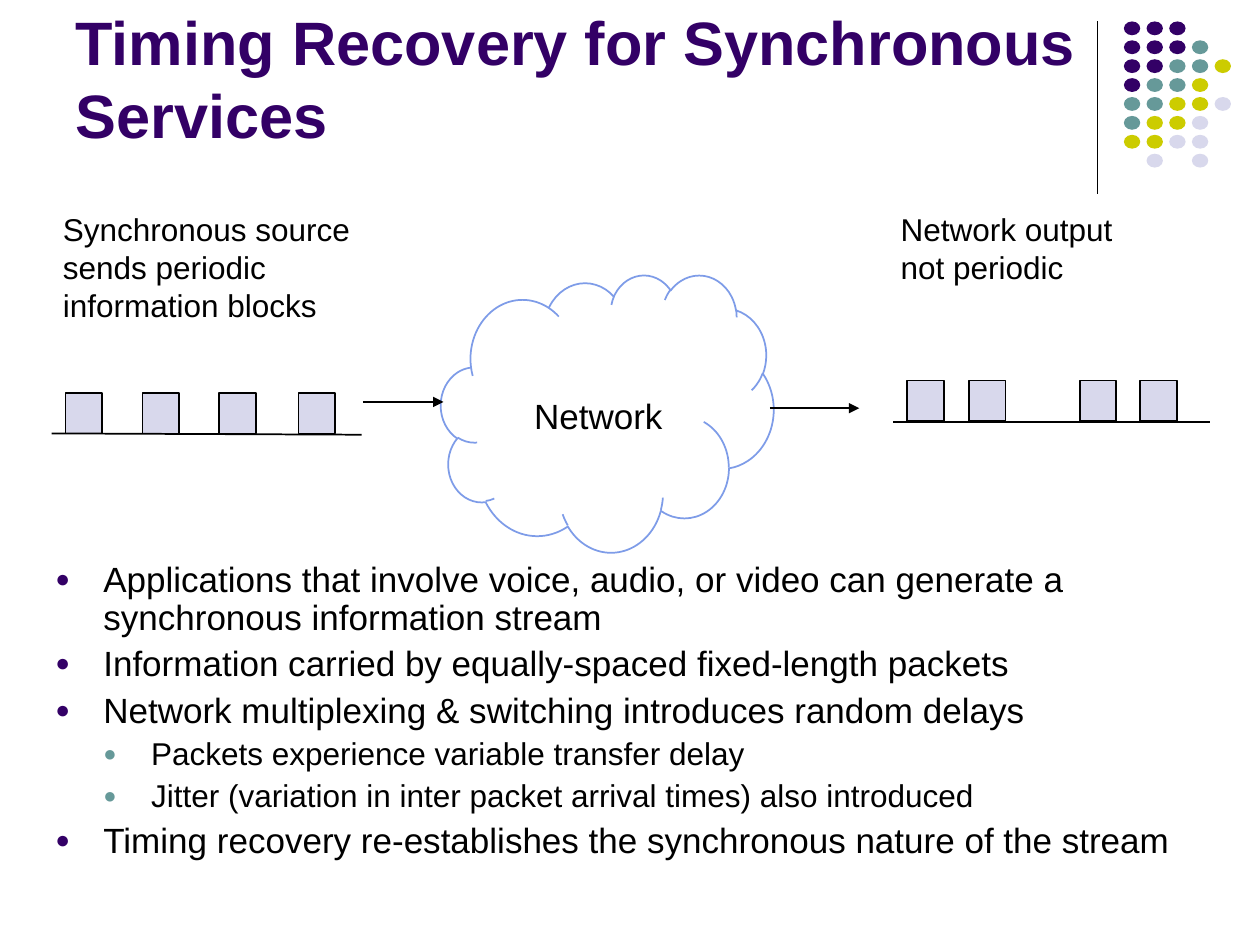
"""Build the slide on timing recovery for synchronous services."""
import lxml.etree
import pptx
import pptx.dml.color
import pptx.enum.shapes
import pptx.enum.text
import pptx.oxml.ns
import pptx.util

Inches = pptx.util.Inches
Pt = pptx.util.Pt
SHAPES = pptx.enum.shapes.MSO_SHAPE
COLORS = {
    "purple": "330066",
    "teal": "669999",
    "olive": "CCCC00",
    "lavender": "D8D8EC",
    "cloud": "7E9CE8",
    "white": "FFFFFF",
    "black": "000000",
}


def color(name):
    return pptx.dml.color.RGBColor.from_string(COLORS[name])


def write(paragraph, text, size, ink="black", bold=False):
    run = paragraph.add_run()
    run.text = text
    run.font.name = "Arial"
    run.font.size = Pt(size)
    run.font.bold = bold
    run.font.color.rgb = color(ink)


deck = pptx.Presentation()
deck.slide_width = Inches(10)
deck.slide_height = Inches(7.5)
slide = deck.slides.add_slide(deck.slide_layouts[1])

title = slide.shapes.title
title.left, title.top = Inches(0.5), Inches(0.13)
title.width, title.height = Inches(8.25), Inches(1.12)
title.text_frame.auto_size = pptx.enum.text.MSO_AUTO_SIZE.NONE
title.text_frame.vertical_anchor = pptx.enum.text.MSO_ANCHOR.BOTTOM
heading = title.text_frame.paragraphs[0]
heading.alignment = pptx.enum.text.PP_ALIGN.LEFT
write(heading, "Timing Recovery for Synchronous Services", 35, "purple", True)

dot_colors = {"P": "purple", "T": "teal", "Y": "olive", "L": "lavender"}
dot_rows = ["PPP", "PPPT", "PPTTY", "PTTY", "TTYYL", "TYYL", "YYLL", " L L"]
outlined = [(SHAPES.CLOUD, 3.5, 2.18, 2.64, 2.2, "white", "cloud")]
for block_top, block_lefts in [(3.12, (0.52, 1.13, 1.74, 2.37)),
                               (3.02, (7.2, 7.69, 8.57, 9.05))]:
    for block_left in block_lefts:
        outlined.append((SHAPES.RECTANGLE, block_left, block_top, 0.29, 0.32,
                         "lavender", "black"))
dots = [
    (SHAPES.OVAL, 8.92 + 0.18 * column, 0.17 + 0.15 * row, 0.13, 0.11,
     dot_colors[letter], None)
    for row, letters in enumerate(dot_rows)
    for column, letter in enumerate(letters) if letter != " "
]
for kind, left, top, width, height, fill, outline in dots + outlined:
    figure = slide.shapes.add_shape(
        kind, Inches(left), Inches(top), Inches(width), Inches(height))
    figure.shadow.inherit = False
    figure.fill.solid()
    figure.fill.fore_color.rgb = color(fill)
    if outline:
        figure.line.color.rgb = color(outline)
        figure.line.width = Pt(1)
    else:
        figure.line.fill.background()

for x1, y1, x2, y2, weight, arrow in [
    (8.71, 0.17, 8.71, 1.54, 0.75, False),
    (0.41, 3.44, 2.87, 3.45, 1, False),
    (7.09, 3.35, 9.6, 3.35, 1, False),
    (2.88, 3.19, 3.52, 3.19, 1, True),
    (6.11, 3.24, 6.82, 3.24, 1, True),
]:
    rule = slide.shapes.add_connector(
        pptx.enum.shapes.MSO_CONNECTOR.STRAIGHT,
        Inches(x1), Inches(y1), Inches(x2), Inches(y2))
    rule.line.color.rgb = color("black")
    rule.line.width = Pt(weight)
    if arrow:
        lxml.etree.SubElement(rule.line._get_or_add_ln(),
                              pptx.oxml.ns.qn("a:tailEnd"), type="triangle")
    lxml.etree.SubElement(rule._element.spPr, pptx.oxml.ns.qn("a:effectLst"))

for left, top, width, height, text, size in [
    (4.14, 3.08, 1.45, 0.43, "Network", 20),
    (0.4, 1.62, 2.72, 1,
     "Synchronous source sends periodic information blocks", 18),
    (7.05, 1.62, 2.2, 0.7, "Network output not periodic", 18),
]:
    label = slide.shapes.add_textbox(
        Inches(left), Inches(top), Inches(width), Inches(height))
    label.text_frame.word_wrap = True
    write(label.text_frame.paragraphs[0], text, size)

body = slide.placeholders[1]
body.left, body.top = Inches(0.34), Inches(4.41)
body.width, body.height = Inches(9.44), Inches(2.65)
body.text_frame.auto_size = pptx.enum.text.MSO_AUTO_SIZE.NONE
levels = [(20, 5, "purple"), (18, 4.5, "teal")]
points = [
    (0, "Applications that involve voice, audio, or video can generate a "
        "synchronous information stream"),
    (0, "Information carried by equally-spaced fixed-length packets"),
    (0, "Network multiplexing & switching introduces random delays"),
    (1, "Packets experience variable transfer delay"),
    (1, "Jitter (variation in inter packet arrival times) also introduced"),
    (0, "Timing recovery re-establishes the synchronous nature of the stream"),
]
for index, (level, text) in enumerate(points):
    size, gap, bullet_color = levels[level]
    point = (body.text_frame.add_paragraph() if index
             else body.text_frame.paragraphs[0])
    point.level = level
    props = point._p.get_or_add_pPr()
    props.set("marL", str(Inches(0.38 * (level + 1))))
    props.set("indent", str(Inches(-0.38)))
    bullet = lxml.etree.SubElement(props, pptx.oxml.ns.qn("a:buClr"))
    lxml.etree.SubElement(bullet, pptx.oxml.ns.qn("a:srgbClr"),
                          val=COLORS[bullet_color])
    for tag, key, value in [("a:buSzPct", "val", "70000"),
                            ("a:buFont", "typeface", "Arial"),
                            ("a:buChar", "char", "●")]:
        lxml.etree.SubElement(props, pptx.oxml.ns.qn(tag)).set(key, value)
    point.line_spacing = 0.9
    point.space_before = Pt(gap if index else 0)
    write(point, text, size)

deck.save("out.pptx")
